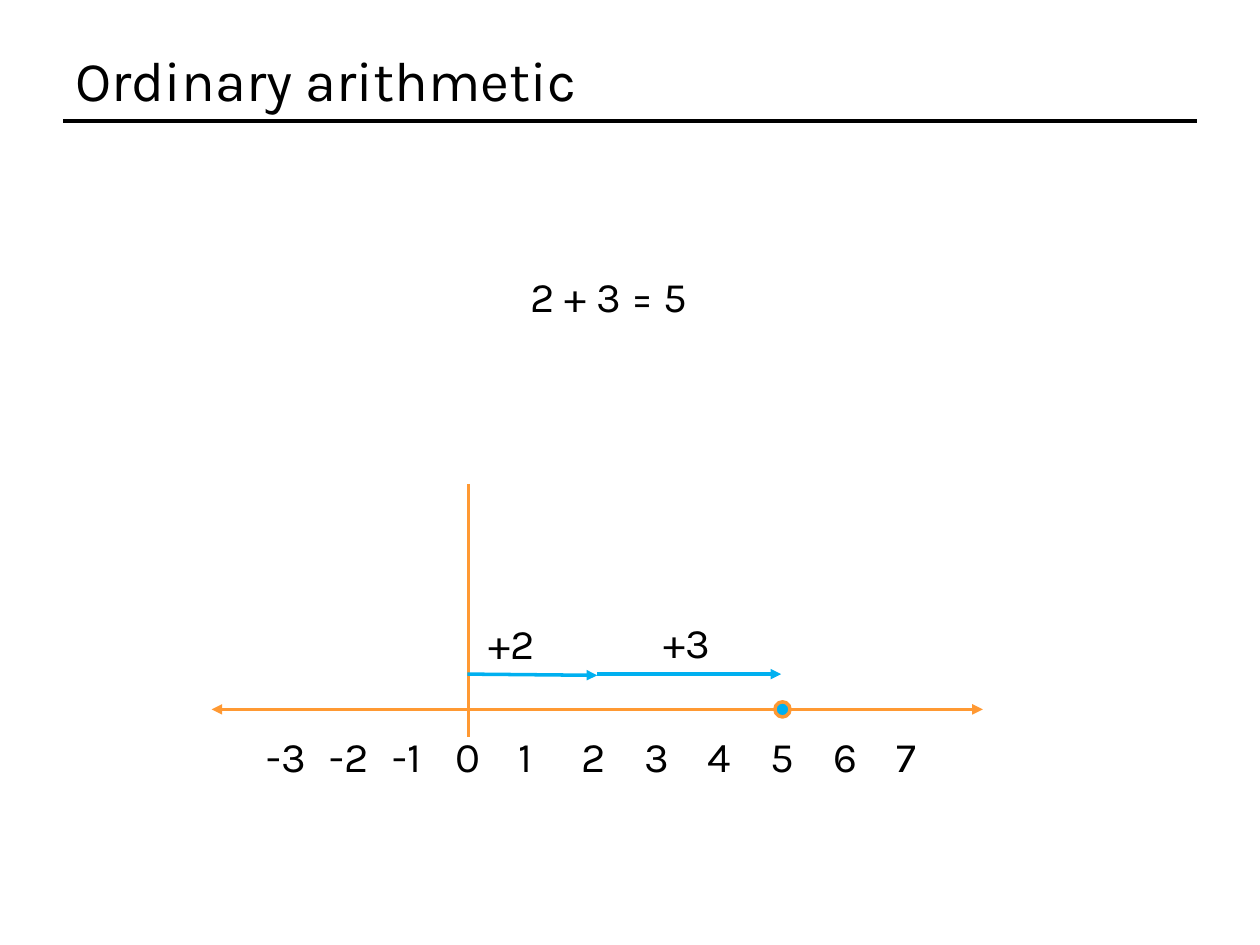
from dataclasses import dataclass

from lxml import etree
from pptx import Presentation
from pptx.dml.color import RGBColor
from pptx.enum.shapes import MSO_CONNECTOR, MSO_SHAPE
from pptx.enum.text import MSO_ANCHOR, MSO_AUTO_SIZE
from pptx.oxml.ns import qn
from pptx.util import Inches, Pt

STRAIGHT = MSO_CONNECTOR.STRAIGHT
OVAL = MSO_SHAPE.OVAL
MIDDLE, TOP = MSO_ANCHOR.MIDDLE, MSO_ANCHOR.TOP
FIT_SHAPE, NO_FIT = MSO_AUTO_SIZE.SHAPE_TO_FIT_TEXT, MSO_AUTO_SIZE.NONE
BLANK_LAYOUT = 6


@dataclass(frozen=True)
class Theme:
    font: str = "Karla"
    title_size: int = 32
    body_size: int = 24
    line_width: int = 2
    text: RGBColor = RGBColor(0x00, 0x00, 0x00)
    axis: RGBColor = RGBColor(0xFF, 0x99, 0x33)
    step: RGBColor = RGBColor(0x00, 0xB0, 0xF0)


THEME = Theme()
TICK_GAP = 0.5
TICKS = range(-3, 8)


def apply_format(target, values):
    for name, value in values.items():
        setattr(target, name, value)


def add_tab_stops(paragraph, gap, count):
    tab_list = etree.SubElement(paragraph._p.get_or_add_pPr(), qn("a:tabLst"))
    for index in range(1, count + 1):
        etree.SubElement(tab_list, qn("a:tab"), pos=str(Inches(gap * index)), algn="l")


def add_text(slide, text, left, top, width, height=0.5, size=THEME.body_size,
             wrap=False, anchor=TOP, tab_count=0):
    shape = slide.shapes.add_textbox(*map(Inches, (left, top, width, height)))
    apply_format(shape.text_frame, {
        "word_wrap": wrap,
        "auto_size": NO_FIT if wrap else FIT_SHAPE,
        "vertical_anchor": anchor,
    })
    paragraph = shape.text_frame.paragraphs[0]
    if tab_count:
        add_tab_stops(paragraph, TICK_GAP, tab_count)
    run = paragraph.add_run()
    run.text = text
    apply_format(run.font, {"name": THEME.font, "size": Pt(size)})
    run.font.color.rgb = THEME.text


def add_line(slide, start, end, color, arrows=()):
    connector = slide.shapes.add_connector(STRAIGHT, *map(Inches, (*start, *end)))
    connector.line.color.rgb = color
    connector.line.width = Pt(THEME.line_width)
    outline = connector.line._get_or_add_ln()
    for arrow in arrows:
        etree.SubElement(outline, qn(f"a:{arrow}"), type="triangle")
    etree.SubElement(connector._element.spPr, qn("a:effectLst"))


def add_point(slide, left, top, diameter):
    shape = slide.shapes.add_shape(OVAL, *map(Inches, (left, top, diameter, diameter)))
    shape.shadow.inherit = False
    shape.fill.solid()
    shape.fill.fore_color.rgb = THEME.step
    shape.line.color.rgb = THEME.axis
    shape.line.width = Pt(THEME.line_width)


def main():
    presentation = Presentation()
    apply_format(presentation, {"slide_width": Inches(10), "slide_height": Inches(7.5)})
    slide = presentation.slides.add_slide(presentation.slide_layouts[BLANK_LAYOUT])

    # Title and rule
    add_line(slide, (0.5, 0.96), (9.5, 0.96), THEME.text)
    add_text(slide, "Ordinary arithmetic", 0.5, 0.3, 9, 0.66,
             size=THEME.title_size, wrap=True, anchor=MIDDLE)

    # Number line with its tick labels
    add_line(slide, (1.68, 5.63), (7.8, 5.63), THEME.axis, ("headEnd", "tailEnd"))
    add_text(slide, "\t".join(map(str, TICKS)), 2.02, 5.75, 5.45,
             tab_count=len(TICKS) - 1)

    # Second step and the sum
    add_line(slide, (4.74, 5.35), (6.2, 5.35), THEME.step, ("tailEnd",))
    add_point(slide, 6.15, 5.57, 0.12)
    add_text(slide, "+3", 5.17, 4.84, 0.6)

    # Equation
    add_text(slide, "2 + 3 = 5", 4.11, 2.1, 1.53)

    # Zero axis and first step
    add_line(slide, (3.72, 3.84), (3.72, 5.85), THEME.axis)
    add_line(slide, (3.71, 5.35), (4.74, 5.36), THEME.step, ("tailEnd",))
    add_text(slide, "+2", 3.78, 4.85, 0.6)

    presentation.save("out.pptx")


if __name__ == "__main__":
    main()
